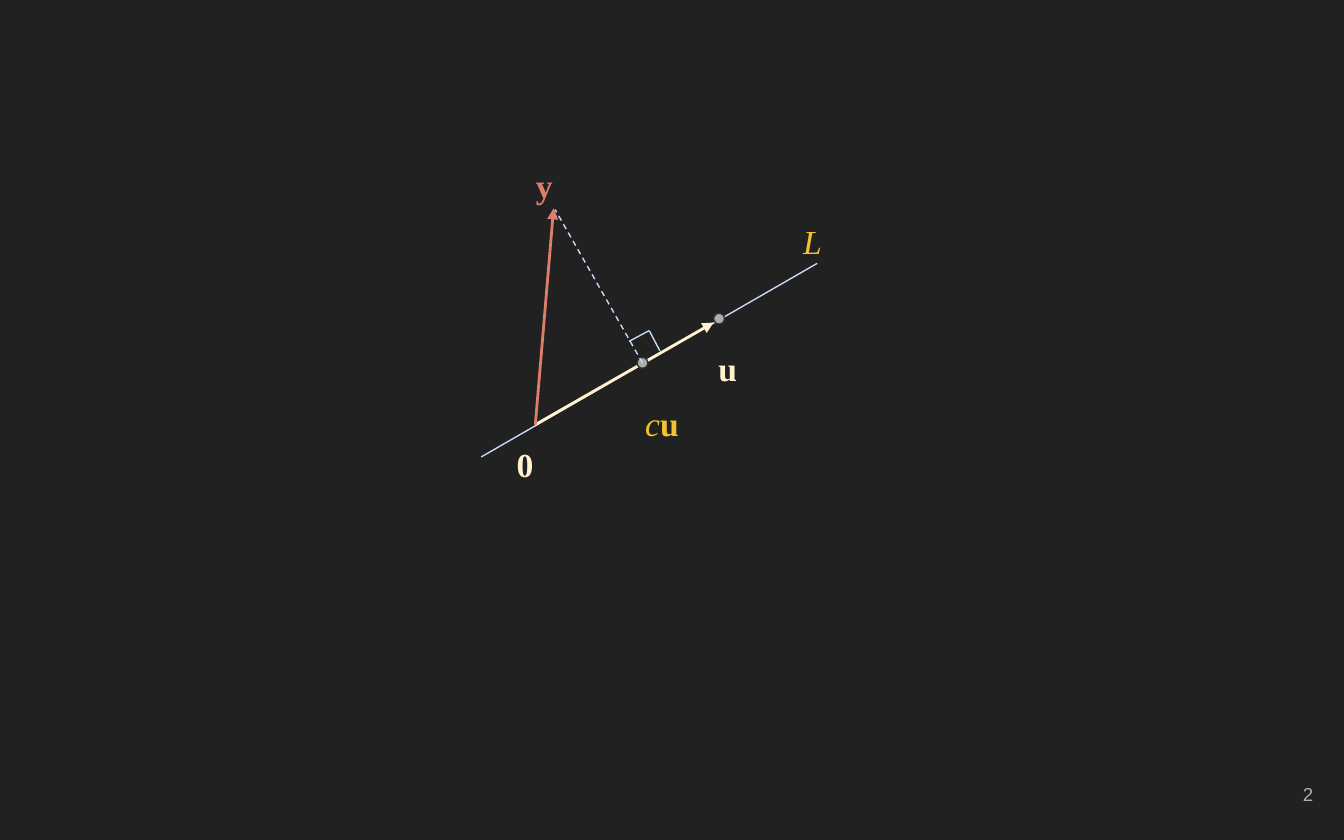
from lxml.etree import SubElement
from pptx import Presentation
from pptx.dml.color import RGBColor
from pptx.enum.dml import MSO_LINE
from pptx.enum.shapes import MSO_CONNECTOR, MSO_SHAPE
from pptx.enum.text import MSO_ANCHOR, PP_ALIGN
from pptx.oxml.ns import qn
from pptx.util import Pt

THEME = dict(
    bg="212121", line="C9DAF8", cream="FFF2CC", gold="F1C232", coral="DD7E6B",
    grey="ADADAD", rim="303030", math="Times New Roman", sans="Arial",
    label=18, number=10, thin=0.75, thick=1.5,
)

ORIGIN, FOOT, CORNER = (286.8, 227.5), (344.2, 194.4), (347.8, 177.1)
AXES = [
    dict(start=(257.8, 244.8), end=(437.8, 141.1)),
    dict(start=ORIGIN, end=(382.3, 172.8), color="cream", width="thick", arrow=True),
]
DOTS = [(385.2, 170.7), FOOT]
OVERLAY = [
    dict(start=ORIGIN, end=(296.6, 111.6), color="coral", width="thick", arrow=True),
    dict(start=FOOT, end=(297.4, 112.3), dash=True),
    dict(start=(337, 182.9), end=CORNER),
    dict(start=CORNER, end=(353.5, 187.9)),
]
LABELS = [
    ((408.2, 108, 54, 37.4), [("L", "i")], "gold"),
    ((366.5, 175.7, 46.8, 37.4), [("u", "b")], "cream"),
    ((257.8, 227.5, 46.8, 37.4), [("0", "b")], "cream"),
    ((270, 77.8, 43.2, 34.6), [("y", "b")], "coral"),
    ((327.6, 205.2, 54, 37.4), [("c", "i"), ("u", "b")], "gold"),
]
NUMBER = ((667.4, 408.2, 43.2, 34.6), [("2", "")], "grey")
DOT_SIZE, INSET = 5.8, 7.2


def rgb(name):
    """Return a theme colour."""
    return RGBColor.from_string(THEME[name])


def add_text(s, box, runs, color, font="math", size="label",
             align=PP_ALIGN.CENTER, anchor=MSO_ANCHOR.TOP, spacing=1.15):
    """Add a text box whose runs are (text, style) pairs."""
    tf = s.shapes.add_textbox(*map(Pt, box)).text_frame
    tf.word_wrap = True
    tf.vertical_anchor = anchor
    tf.margin_left = tf.margin_right = tf.margin_top = tf.margin_bottom = Pt(INSET)
    p = tf.paragraphs[0]
    p.alignment, p.line_spacing = align, spacing
    for text, style in runs:
        r = p.add_run()
        r.text = text
        r.font.name, r.font.size = THEME[font], Pt(THEME[size])
        r.font.bold, r.font.italic = style == "b", style == "i"
        r.font.color.rgb = rgb(color)


def add_line(s, start, end, color="line", width="thin", dash=False, arrow=False):
    """Add a straight line, optionally dashed or with an arrowhead."""
    sp = s.shapes.add_connector(MSO_CONNECTOR.STRAIGHT, *map(Pt, start + end))
    sp.line.color.rgb, sp.line.width = rgb(color), Pt(THEME[width])
    if dash:
        sp.line.dash_style = MSO_LINE.DASH
    if arrow:
        SubElement(sp.line._get_or_add_ln(), qn("a:tailEnd"), type="triangle")
    SubElement(sp._element.spPr, qn("a:effectLst"))


def add_dot(s, x, y):
    """Add a small dot centred on a point."""
    half = DOT_SIZE / 2
    box = (x - half, y - half, DOT_SIZE, DOT_SIZE)
    sp = s.shapes.add_shape(MSO_SHAPE.OVAL, *map(Pt, box))
    sp.shadow.inherit = False
    sp.fill.solid()
    sp.fill.fore_color.rgb = rgb("grey")
    sp.line.color.rgb, sp.line.width = rgb("rim"), Pt(THEME["thin"])


def main():
    """Build the orthogonal projection slide."""
    prs = Presentation()
    prs.slide_width, prs.slide_height = Pt(720), Pt(450)
    s = prs.slides.add_slide(prs.slide_layouts[6])
    s.background.fill.solid()
    s.background.fill.fore_color.rgb = rgb("bg")
    for line in AXES:
        add_line(s, **line)
    for dot in DOTS:
        add_dot(s, *dot)
    for line in OVERLAY:
        add_line(s, **line)
    for label in LABELS:
        add_text(s, *label)
    add_text(s, *NUMBER, font="sans", size="number", align=PP_ALIGN.RIGHT,
             anchor=MSO_ANCHOR.MIDDLE, spacing=1.0)
    prs.save("out.pptx")


if __name__ == "__main__":
    main()
